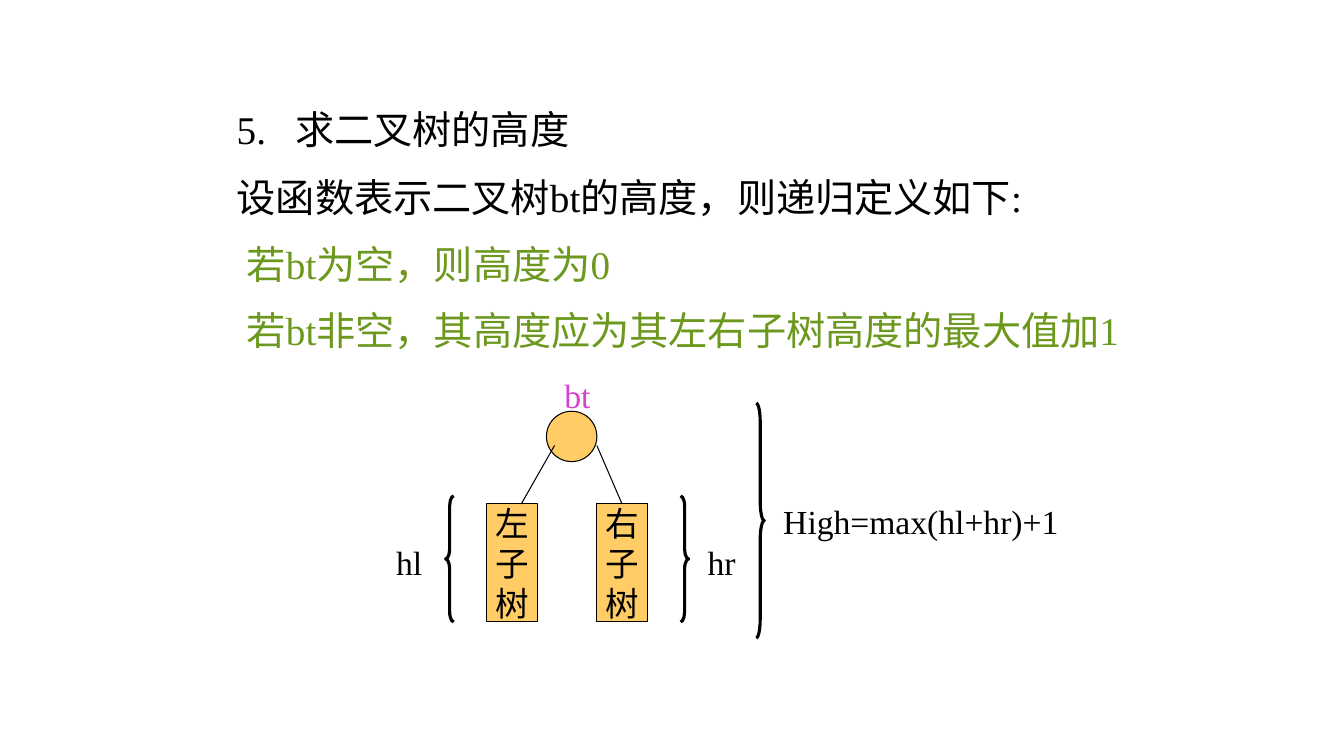
from dataclasses import dataclass

import pptx
import pptx.dml.color
import pptx.enum.shapes
import pptx.enum.text
import pptx.oxml.ns
import pptx.util
from lxml import etree
from pptx.util import Inches

SHAPE = pptx.enum.shapes.MSO_SHAPE


@dataclass(frozen=True)
class Theme:
    latin: str = "Times New Roman"
    chinese: str = "Noto Sans CJK SC"
    black: str = "000000"
    green: str = "6C981E"
    pink: str = "D842CD"
    orange: str = "FFCC66"
    body: int = 28
    label: int = 24
    thin: float = 0.75
    thick: float = 2.25


THEME = Theme()


def rgb(color):
    return pptx.dml.color.RGBColor.from_string(color)


def add_child(parent, tag, **attributes):
    return etree.SubElement(parent, pptx.oxml.ns.qn(tag), **attributes)


def style_paragraph(para, size, color):
    for span in para.runs:
        span.font.name = THEME.latin
        span.font.size = pptx.util.Pt(size)
        span.font.color.rgb = rgb(color)
        add_child(span.font._element, "a:ea", typeface=THEME.chinese)


def add_text(slide, left, top, width, height, lines, size):
    """Add a text box; lines holds (text, color) pairs."""
    box = slide.shapes.add_textbox(
        Inches(left), Inches(top), Inches(width), Inches(height))
    frame = box.text_frame
    frame.text = "\n".join(text for text, color in lines)
    frame.word_wrap = True
    frame.auto_size = pptx.enum.text.MSO_AUTO_SIZE.SHAPE_TO_FIT_TEXT
    for index, (para, (text, color)) in enumerate(zip(frame.paragraphs, lines)):
        if index:
            para.space_before = pptx.util.Pt(size / 2)
        style_paragraph(para, size, color)
    return frame.paragraphs


def add_outlined(slide, kind, left, top, width, height, weight, fill=None):
    shape = slide.shapes.add_shape(
        kind, Inches(left), Inches(top), Inches(width), Inches(height))
    shape.shadow.inherit = False
    if fill:
        shape.fill.solid()
        shape.fill.fore_color.rgb = rgb(fill)
    else:
        shape.fill.background()
    shape.line.color.rgb = rgb(THEME.black)
    shape.line.width = pptx.util.Pt(weight)
    return shape


def add_subtree(slide, left, name):
    """Add a box with its name set one character to a line."""
    box = add_outlined(slide, SHAPE.RECTANGLE, left, 5, 0.5, 1.17,
                       THEME.thin, THEME.orange)
    frame = box.text_frame
    frame.text = "\n".join(name)
    frame.word_wrap = False
    frame.vertical_anchor = pptx.enum.text.MSO_ANCHOR.MIDDLE
    for para in frame.paragraphs:
        para.alignment = pptx.enum.text.PP_ALIGN.CENTER
        style_paragraph(para, THEME.label, THEME.black)


def add_brace(slide, kind, left, top, height, curl):
    brace = add_outlined(slide, kind, left, top, 0.08, height, THEME.thick)
    brace.adjustments[0] = curl


def add_branch(slide, start, end):
    branch = slide.shapes.add_connector(
        pptx.enum.shapes.MSO_CONNECTOR.STRAIGHT,
        *(Inches(value) for value in start + end))
    branch.line.color.rgb = rgb(THEME.black)
    branch.line.width = pptx.util.Pt(THEME.thin)
    add_child(branch._element.spPr, "a:effectLst")


def add_explanation(slide):
    heading = add_text(slide, 2.25, 1, 9.17, 0.57,
                       [("5.\t求二叉树的高度", THEME.black)], THEME.body)[0]
    tabs = add_child(heading._p.get_or_add_pPr(), "a:tabLst")
    add_child(tabs, "a:tab", pos=str(Inches(0.58)), algn="l")

    paragraphs = add_text(slide, 2.25, 1.67, 9.17, 1.97, [
        ("设函数表示二叉树bt的高度，则递归定义如下:", THEME.black),
        ("若bt为空，则高度为0", THEME.green),
        ("若bt非空，其高度应为其左右子树高度的最大值加1", THEME.green),
    ], THEME.body)
    for para in paragraphs[1:]:
        properties = para._p.get_or_add_pPr()
        properties.set("marL", "0")
        properties.set("indent", str(Inches(0.1)))


def add_tree(slide):
    # Root and subtrees
    add_outlined(slide, SHAPE.OVAL, 5.42, 4.08, 0.5, 0.5,
                 THEME.thin, THEME.orange)
    add_subtree(slide, 4.83, "左子树")
    add_subtree(slide, 5.92, "右子树")
    add_branch(slide, (5.5, 4.42), (5.17, 5))
    add_branch(slide, (5.92, 4.42), (6.17, 5))

    # Height braces
    add_brace(slide, SHAPE.LEFT_BRACE, 4.42, 4.92, 1.25, 1.25)
    add_brace(slide, SHAPE.RIGHT_BRACE, 6.75, 4.92, 1.25, 1.25)
    add_brace(slide, SHAPE.RIGHT_BRACE, 7.5, 4, 2.33, 2.33)

    # Labels
    for left, top, width, text, color in [
        (5.5, 3.67, 0.67, "bt", THEME.pink),
        (3.83, 5.33, 0.5, "hl", THEME.black),
        (6.92, 5.33, 0.58, "hr", THEME.black),
        (7.67, 4.92, 3.33, "High=max(hl+hr)+1", THEME.black),
    ]:
        add_text(slide, left, top, width, 0.5, [(text, color)], THEME.label)


def main():
    deck = pptx.Presentation()
    deck.slide_width = Inches(13.33)
    deck.slide_height = Inches(7.5)
    slide = deck.slides.add_slide(deck.slide_layouts[6])
    add_explanation(slide)
    add_tree(slide)
    deck.save("out.pptx")


if __name__ == "__main__":
    main()
